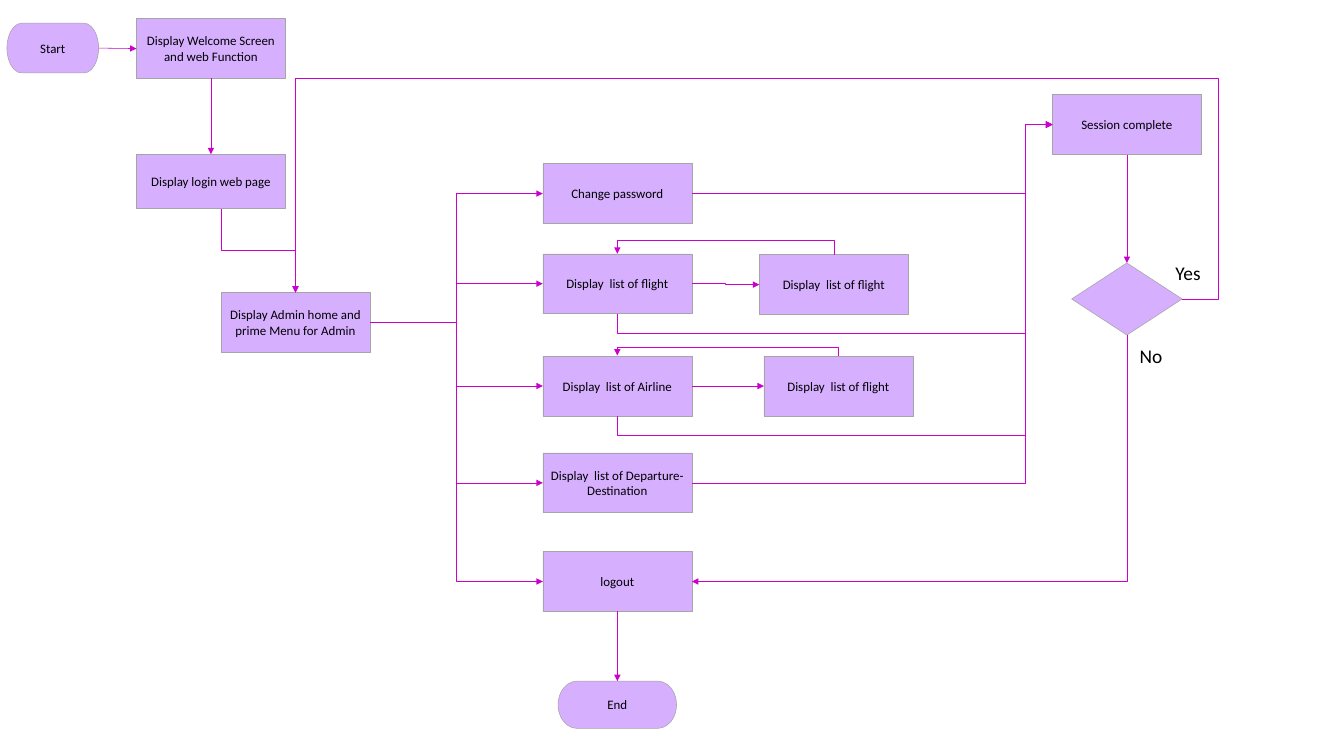
from collections import namedtuple
from lxml.etree import SubElement
from pptx import Presentation
from pptx.dml.color import RGBColor
from pptx.enum.shapes import MSO_CONNECTOR, MSO_SHAPE
from pptx.enum.text import MSO_ANCHOR, PP_ALIGN
from pptx.oxml.ns import qn
from pptx.util import Cm, Pt

Box = namedtuple("Box", "left top width height")
TOP, LEFT, BOTTOM, RIGHT = range(4)
STEP_W, STEP_H = 4.88, 1.96
FILL, OUTLINE, ARROW, INK = "D7AFFF", "A5A5A5", "CC00CC", "000000"
STEP_FONT = {"name": "Calibri", "size": Pt(12)}
LABEL_FONT = {"name": "Calibri", "size": Pt(18)}


def color(hex_string):
    return RGBColor.from_string(hex_string)


def write(frame, text, font_values):
    run = frame.paragraphs[0].add_run()
    run.text = text
    run.font.color.rgb = color(INK)
    for name, value in font_values.items():
        setattr(run.font, name, value)


def add_step(slide, box, x, y, text, w=STEP_W, h=STEP_H, kind=MSO_SHAPE.RECTANGLE):
    step = slide.shapes.add_shape(kind, Cm(box.left + x), Cm(box.top + y), Cm(w), Cm(h))
    step.shadow.inherit = False
    step.fill.solid()
    step.fill.fore_color.rgb = color(FILL)
    step.line.color.rgb = color(OUTLINE)
    step.line.width = Pt(0.5)
    if text:
        for name, value in {"word_wrap": True, "vertical_anchor": MSO_ANCHOR.MIDDLE}.items():
            setattr(step.text_frame, name, value)
        step.text_frame.paragraphs[0].alignment = PP_ALIGN.CENTER
        write(step.text_frame, text, STEP_FONT)
    return step


def add_label(slide, box, x, y, w, text):
    label = slide.shapes.add_textbox(Cm(box.left + x), Cm(box.top + y), Cm(w), Cm(1.02))
    label.text_frame.word_wrap = True
    write(label.text_frame, text, LABEL_FONT)


def site_point(step, site):
    middle = step.left + step.width // 2, step.top + step.height // 2
    return {
        TOP: (middle[0], step.top),
        LEFT: (step.left, middle[1]),
        BOTTOM: (middle[0], step.top + step.height),
        RIGHT: (step.left + step.width, middle[1]),
    }[site]


def bend(connector, start, end, axis, turns):
    delta = [end[0] - start[0], end[1] - start[1] or -Cm(0.02)]
    dx, dy = delta
    width, height = abs(dx), abs(dy)
    rotation, flip_h, flip_v = 0, dx < 0, dy < 0
    if axis == 1:
        width, height = height, width
        if dx * dy < 0:
            rotation, flip_h, flip_v = 90, dy < 0, dx > 0
        else:
            rotation, flip_h, flip_v = 270, dy > 0, dx < 0
    frame = {
        "left": int(start[0] + dx / 2 - width / 2),
        "top": int(start[1] + dy / 2 - height / 2),
        "width": width,
        "height": height,
    }
    for name, value in frame.items():
        setattr(connector, name, value)
    properties = connector.element.spPr
    transform = properties.find(qn("a:xfrm"))
    for name, value in {"rot": rotation * 60000, "flipH": flip_h, "flipV": flip_v}.items():
        transform.set(name, str(int(value)))
    geometry = properties.find(qn("a:prstGeom"))
    geometry.set("prst", f"bentConnector{len(turns) + 2}")
    for number, turn in enumerate(turns):
        along = (axis + number) % 2
        ratio = (turn - start[along]) / delta[along]
        SubElement(geometry.find(qn("a:avLst")), qn("a:gd"),
                   name=f"adj{number + 1}", fmla=f"val {round(ratio * 100000)}")


def link(slide, source, exit_site, target, entry_site, turns=None, shift=0):
    start, end = site_point(source, exit_site), site_point(target, entry_site)
    start = start[0] + shift, start[1]
    kind = MSO_CONNECTOR.STRAIGHT if turns is None else MSO_CONNECTOR.ELBOW
    connector = slide.shapes.add_connector(kind, *start, *end)
    if not shift:
        connector.begin_connect(source, exit_site)
    connector.end_connect(target, entry_site)
    if turns is not None:
        bend(connector, start, end, int(exit_site in (TOP, BOTTOM)), turns)
    connector.line.color.rgb = color(ARROW)
    connector.line.width = Pt(0.5)
    properties = connector.element.spPr
    SubElement(properties.find(qn("a:ln")), qn("a:tailEnd"), type="triangle")
    SubElement(properties, qn("a:effectLst"))


def draw_entry(slide, box):
    start = add_step(slide, box, 0, 0.15, "Start", 3, 1.63, MSO_SHAPE.FLOWCHART_TERMINATOR)
    welcome = add_step(slide, box, 4.24, 0, "Display Welcome Screen and web Function")
    login = add_step(slide, box, 4.24, 4.44, "Display login web page", h=1.78)
    admin = add_step(slide, box, 7.01, 8.97, "Display Admin home and prime Menu for Admin")
    link(slide, start, RIGHT, welcome, LEFT)
    link(slide, welcome, BOTTOM, login, TOP)
    login_bottom = login.top + login.height
    link(slide, login, BOTTOM, admin, TOP, [(login_bottom + admin.top) // 2],
         admin.left - site_point(login, BOTTOM)[0])
    return welcome, admin


def draw_menu(slide, box):
    entries = [
        (0, "Change password"),
        (2.95, "Display  list of flight"),
        (6.3, "Display  list of Airline"),
        (9.47, "Display  list of Departure-Destination"),
        (12.7, "logout"),
    ]
    options = [add_step(slide, box, 0, y, text) for y, text in entries]
    password, flight, airline, departure, logout = options
    for option, x, y, rise in ((flight, 7.09, 2.98, 0.44), (airline, 7.24, 6.3, 0.28)):
        listing = add_step(slide, box, x, y, "Display  list of flight")
        middle = (option.left + option.width + listing.left) // 2
        level = site_point(option, RIGHT)[1] == site_point(listing, LEFT)[1]
        link(slide, option, RIGHT, listing, LEFT, None if level else [middle])
        link(slide, listing, TOP, option, TOP, [option.top - Cm(rise)])
    end = add_step(slide, box, (STEP_W - 3.88) / 2, 16.94, "End", 3.88, 1.55,
                   MSO_SHAPE.FLOWCHART_TERMINATOR)
    link(slide, logout, BOTTOM, end, TOP)
    return options


def draw_session(slide, box):
    session = add_step(slide, box, 0, 0, "Session complete")
    decision = add_step(slide, box, (STEP_W - 3.62) / 2, 5.51, "", 3.62, 2.36,
                        MSO_SHAPE.FLOWCHART_DECISION)
    link(slide, session, BOTTOM, decision, TOP)
    add_label(slide, box, 2.61, 8.03, 1.3, "No")
    add_label(slide, box, 3.78, 5.33, 1.5, "Yes")
    return session, decision


def link_regions(slide, welcome, admin, options, session, decision):
    password, flight, airline, departure, logout = options
    menu_lane = (admin.left + admin.width + password.left) // 2
    for option in options:
        link(slide, admin, RIGHT, option, LEFT, [menu_lane])
    session_lane = session.left - Cm(0.89)
    for option in (departure, password):
        link(slide, option, RIGHT, session, LEFT, [session_lane])
    for option in (airline, flight):
        drop = option.top + option.height + Cm(0.64)
        link(slide, option, BOTTOM, session, LEFT, [drop, session_lane])
    link(slide, decision, BOTTOM, logout, RIGHT, [])
    yes_lane = decision.left + decision.width + Cm(1.19)
    link(slide, decision, RIGHT, admin, TOP, [yes_lane, welcome.top + welcome.height])


def main():
    deck = Presentation()
    deck.slide_width, deck.slide_height = Cm(44.02), Cm(24.13)
    slide = deck.slides.add_slide(deck.slide_layouts[6])
    welcome, admin = draw_entry(slide, Box(0.23, 0.61, 11.89, 10.93))
    options = draw_menu(slide, Box(17.78, 5.36, 12.12, 18.49))
    session, decision = draw_session(slide, Box(34.47, 3.1, 5.28, 9.05))
    link_regions(slide, welcome, admin, options, session, decision)
    deck.save("out.pptx")


if __name__ == "__main__":
    main()
